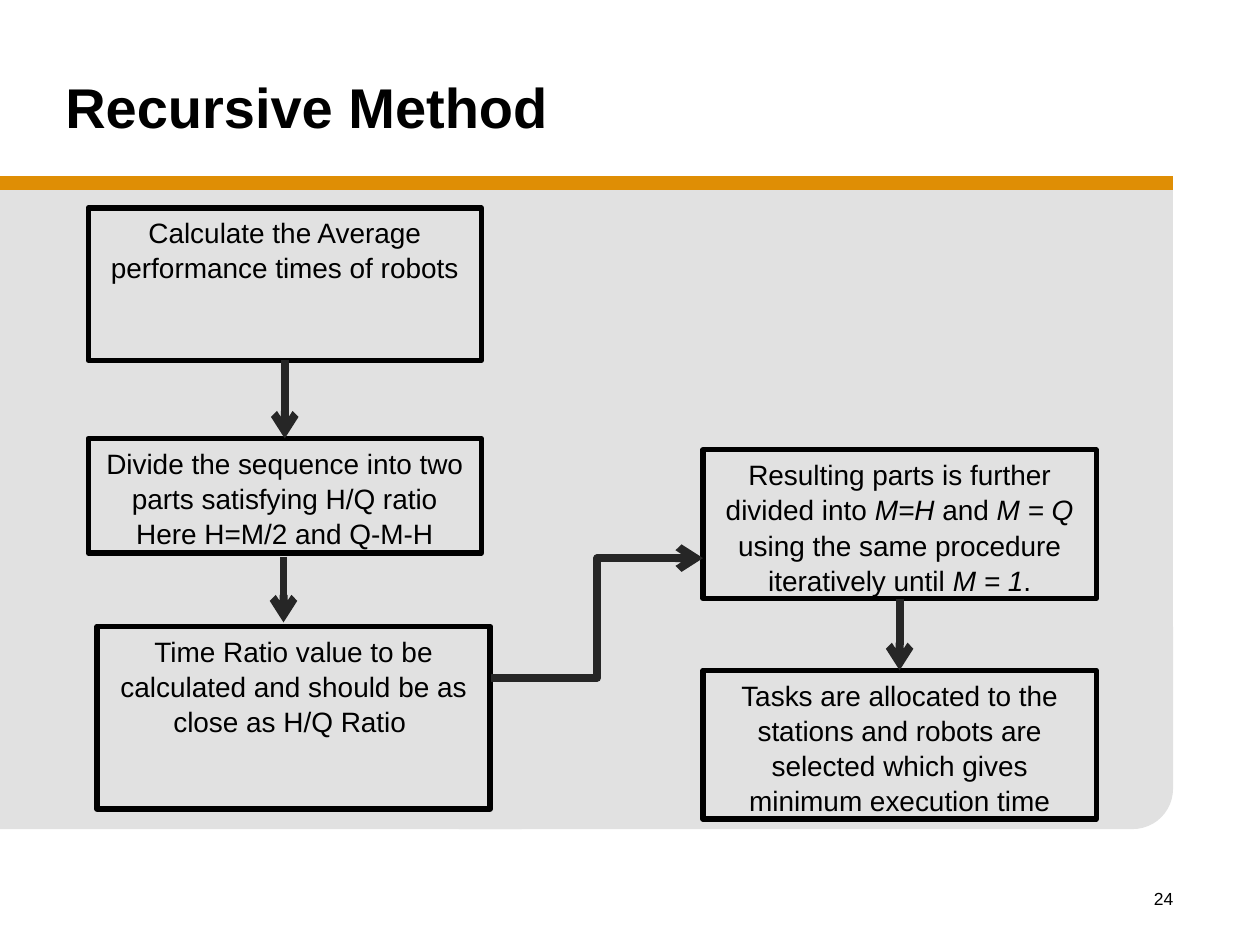
"""Build the Recursive Method flowchart slide."""
import pptx
import pptx.dml.color
import pptx.enum.shapes
import pptx.enum.text
import pptx.util
from lxml import etree
from pptx.oxml.ns import qn
from pptx.util import Inches

COLORS = {"panel": "E1E1E1", "rule": "DF8E05", "text": "000000", "arrow": "262626"}
SHAPE = pptx.enum.shapes.MSO_SHAPE
CONNECTOR = pptx.enum.shapes.MSO_CONNECTOR
ALIGN = pptx.enum.text.PP_ALIGN
ANCHOR = pptx.enum.text.MSO_ANCHOR
AUTO_SIZE = pptx.enum.text.MSO_AUTO_SIZE
BOTTOM, TOP = 2, 0

STEP_WIDTH = 3.12
STEPS = {
    "average": ((0.7, 1.65, STEP_WIDTH, 1.21),
                [[("Calculate the Average performance times of robots", False)]]),
    "divide": ((0.7, 3.48, STEP_WIDTH, 0.91),
               [[("Divide the sequence into two parts satisfying H/Q ratio", False)],
                [("Here H=M/2 and Q-M-H", False)]]),
    "ratio": ((0.77, 4.97, STEP_WIDTH, 1.45),
              [[("Time Ratio value to be calculated and should be as close as H/Q Ratio ", False)]]),
    "iterate": ((5.58, 3.57, STEP_WIDTH, 1.18),
                [[("Resulting parts is further divided into ", False), ("M=H ", True),
                  ("and ", False), ("M = Q", True),
                  (" using the same procedure iteratively until ", False),
                  ("M = 1", True), (".", False)]]),
    "allocate": ((5.58, 5.32, STEP_WIDTH, 1.18),
                 [[("Tasks are allocated to the stations and robots are selected "
                    "which gives minimum execution time", False)]]),
}


def rgb(name):
    """Return the named colour."""
    return pptx.dml.color.RGBColor.from_string(COLORS[name])


def apply(target, formats):
    """Set each attribute of target from a dict of format values."""
    for attribute, value in formats.items():
        setattr(target, attribute, value)


def write(frame, paragraphs, size, align, bold=False, spacing=None):
    """Fill a text frame with paragraphs of (text, italic) runs."""
    frame.word_wrap = True
    for index, runs in enumerate(paragraphs):
        paragraph = frame.paragraphs[0] if index == 0 else frame.add_paragraph()
        apply(paragraph, {"alignment": align, "line_spacing": spacing})
        for text, italic in runs:
            run = paragraph.add_run()
            run.text = text
            apply(run.font, {"name": "Arial", "size": pptx.util.Pt(size),
                             "bold": bold, "italic": italic})
            run.font.color.rgb = rgb("text")


def add_label(slide, box, text, size, align, anchor, bold=False):
    """Place a one-line text box."""
    frame = slide.shapes.add_textbox(*map(Inches, box)).text_frame
    frame.vertical_anchor = anchor
    write(frame, [[(text, False)]], size, align, bold)


def add_line(slide, start, end, color, width, kind=CONNECTOR.STRAIGHT, arrow=False):
    """Draw a connector, with an open arrowhead if asked."""
    line = slide.shapes.add_connector(kind, *map(Inches, (*start, *end)))
    line.line.color.rgb = rgb(color)
    line.line.width = pptx.util.Pt(width)
    properties = line._element.spPr
    if arrow:
        etree.SubElement(properties.find(qn("a:ln")), qn("a:tailEnd"), type="arrow")
    etree.SubElement(properties, qn("a:effectLst"))
    return line


def add_panel(slide, box):
    """Draw the grey panel with its round corner and the rule along its top."""
    left, top, width, height = box
    right, bottom = left + width, top + height
    parts = [
        (SHAPE.RECTANGLE, (left, top, width, height - 0.73)),
        (SHAPE.ROUNDED_RECTANGLE, (right - 5.98, bottom - 1.92, 5.98, 1.92)),
        (SHAPE.RECTANGLE, (left, bottom - 3.84, 4.14, 3.84)),
    ]
    for kind, part in parts:
        piece = slide.shapes.add_shape(kind, *map(Inches, part))
        piece.shadow.inherit = False
        piece.fill.solid()
        piece.fill.fore_color.rgb = rgb("panel")
        piece.line.fill.background()
    add_line(slide, (left, top - 0.04), (right, top - 0.04), "rule", 8)


def add_step(slide, box, paragraphs):
    """Draw one outlined step of the flow."""
    step = slide.shapes.add_shape(SHAPE.RECTANGLE, *map(Inches, box))
    step.shadow.inherit = False
    step.fill.background()
    step.line.color.rgb = rgb("text")
    step.line.width = pptx.util.Pt(3)
    apply(step.text_frame, {"vertical_anchor": ANCHOR.TOP,
                            "auto_size": AUTO_SIZE.SHAPE_TO_FIT_TEXT})
    write(step.text_frame, paragraphs, 16, ALIGN.CENTER, spacing=1.05)
    return step


def add_flow(slide, box):
    """Draw the steps and the arrows between them, relative to the box."""
    left, top = box[:2]
    steps = {name: add_step(slide, (left + x, top + y, width, height), paragraphs)
             for name, ((x, y, width, height), paragraphs) in STEPS.items()}
    arrow = {"color": "arrow", "width": 4.5, "arrow": True}
    for source, target in (("average", "divide"), ("iterate", "allocate")):
        link = add_line(slide, (left, top), (left, top), **arrow)
        link.begin_connect(steps[source], BOTTOM)
        link.end_connect(steps[target], TOP)
    add_line(slide, (left + 2.25, top + 4.42), (left + 2.25, top + 4.94), **arrow)
    add_line(slide, (left + 3.9, top + 5.38), (left + 5.58, top + 4.43),
             kind=CONNECTOR.ELBOW, **arrow)


def main():
    """Build and save the slide."""
    deck = pptx.Presentation()
    apply(deck, {"slide_width": Inches(10), "slide_height": Inches(7.5)})
    slide = deck.slides.add_slide(deck.slide_layouts[6])
    add_panel(slide, (0, 1.49, 9.31, 5.09))
    add_label(slide, (7.33, 7, 2.08, 0.5), "24", 10, ALIGN.RIGHT, ANCHOR.TOP)
    add_label(slide, (0.42, 0.17, 9, 1.35), "Recursive Method", 32,
              ALIGN.LEFT, ANCHOR.MIDDLE, bold=True)
    add_flow(slide, (0, 0, 10, 7.5))
    deck.save("out.pptx")


if __name__ == "__main__":
    main()
